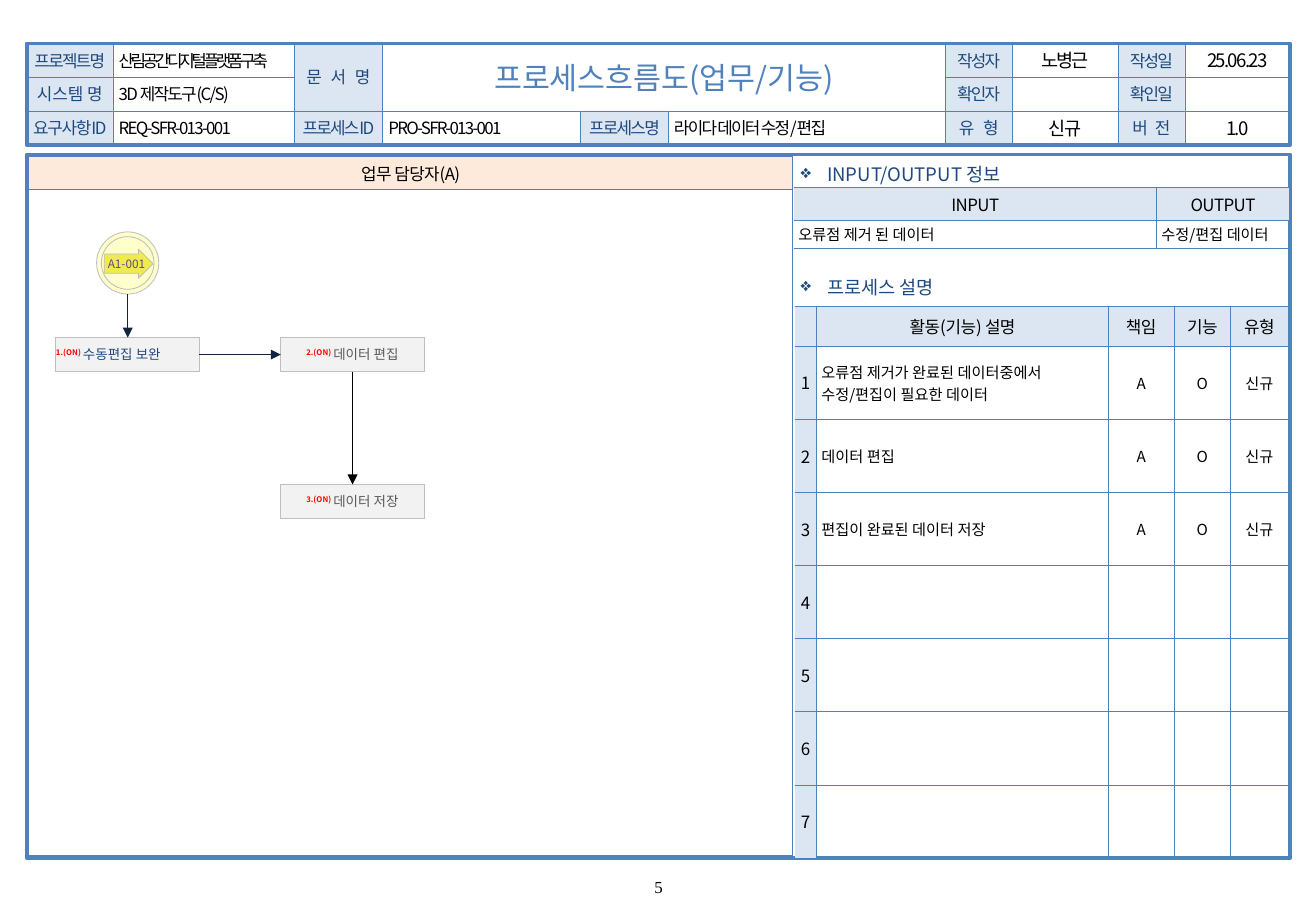
from lxml import etree
from pptx import Presentation
from pptx.dml.color import RGBColor
from pptx.enum.shapes import MSO_CONNECTOR, MSO_SHAPE
from pptx.enum.text import MSO_ANCHOR, MSO_AUTO_SIZE, PP_ALIGN
from pptx.oxml.ns import qn
from pptx.util import Cm, Pt

LEFT, CENTER = PP_ALIGN.LEFT, PP_ALIGN.CENTER
MIDDLE = MSO_ANCHOR.MIDDLE
NO_RESIZE = MSO_AUTO_SIZE.NONE
RECTANGLE, OVAL, ARROW = MSO_SHAPE.RECTANGLE, MSO_SHAPE.OVAL, MSO_SHAPE.RIGHT_ARROW
STRAIGHT = MSO_CONNECTOR.STRAIGHT

SANS, SERIF = "Noto Sans CJK KR", "Times New Roman"
BLUE, NAVY, PALE, PEACH = "4F81BD", "1F497D", "DCE6F2", "FDEADA"
BLACK, WHITE, GRAY, SILVER, DARK = "000000", "FFFFFF", "595959", "BFBFBF", "0F243E"
YELLOW = "FFFFCC"

HEADER_X = [0.56, 2.36, 6.15, 8.0, 12.14, 13.97, 19.76, 21.16, 23.37, 24.77, 26.97]
HEADER_Y = [0.91, 1.62, 2.32, 3.03]
HEADER_LABELS = [
    ("프로젝트명", 0, 0, 1, -1), ("시스템 명", 0, 1, 1, 0), ("요구사항ID", 0, 2, 1, -0.7),
    ("문 서 명", 2, 0, 2, 1.5), ("프로세스ID", 2, 2, 1, -1), ("프로세스명", 4, 2, 1, -1),
    ("작성자", 6, 0, 1, -1), ("확인자", 6, 1, 1, -1), ("유 형", 6, 2, 1, 1.5),
    ("작성일", 8, 0, 1, -1), ("확인일", 8, 1, 1, -1), ("버 전", 8, 2, 1, 1),
]
HEADER_VALUES = [
    ("산림공간 디지털 플랫폼 구축", 1, 0, -2), ("3D 제작도구(C/S)", 1, 1, -1),
    ("REQ-SFR-013-001", 1, 2, -1), ("PRO-SFR-013-001", 3, 2, -1),
    ("라이다 데이터 수정/편집", 5, 2, -1),
]
HEADER_CENTERED = [
    ("노병근", 7, 0), ("", 7, 1), ("신규", 7, 2),
    ("25.06.23", 9, 0), ("", 9, 1), ("1.0", 9, 2),
]
STEPS = ["오류점 제거가 완료된 데이터중에서 수정/편집이 필요한 데이터",
         "데이터 편집", "편집이 완료된 데이터 저장", "", "", "", ""]


def color(value):
    return RGBColor.from_string(value)


def set_margins(item, side=0, vertical=0):
    item.margin_left = item.margin_right = Cm(side)
    item.margin_top = item.margin_bottom = Cm(vertical)


def add_span(para, text, size=10, font=SANS, ink=BLACK, spacing=0, bold=False, raised=0):
    span = para.add_run()
    span.text = text
    span.font.size = Pt(size)
    span.font.bold = bold
    span.font.color.rgb = color(ink)
    span.font.name = font
    properties = span._r.get_or_add_rPr()
    properties.set("spc", str(round(spacing * 100)))
    if raised:
        properties.set("baseline", str(raised * 1000))
    etree.SubElement(properties, qn("a:ea")).set("typeface", font)


def write(frame, text, align=CENTER, wrap=False, side=0, **style):
    frame.auto_size = NO_RESIZE
    frame.word_wrap = wrap
    frame.vertical_anchor = MIDDLE
    set_margins(frame, side)
    para = frame.paragraphs[0]
    para.alignment = align
    if text:
        add_span(para, text, **style)
    return para


def paint(shape, fill=None, line=BLUE, weight=0.25):
    if fill:
        shape.fill.solid()
        shape.fill.fore_color.rgb = color(fill)
    else:
        shape.fill.background()
    shape.line.color.rgb = color(line)
    shape.line.width = Pt(weight)


def add_box(page, place, kind=RECTANGLE, **look):
    box = page.shapes.add_shape(kind, *map(Cm, place))
    box.shadow.inherit = False
    paint(box, **look)
    return box


def add_label(page, place, text, **style):
    box = page.shapes.add_textbox(*map(Cm, place))
    return write(box.text_frame, text, **style)


def add_heading(page, top, text):
    para = add_label(page, (16.74, top, 4.45, 0.48), "", align=LEFT)
    properties = para._p.get_or_add_pPr()
    properties.set("marL", str(Cm(0.55)))
    properties.set("indent", str(-Cm(0.55)))
    etree.SubElement(properties, qn("a:buChar")).set("char", "❖")
    add_span(para, text, size=11, ink=NAVY)


def add_line(page, start, end, ink, weight, arrow=False):
    line = page.shapes.add_connector(STRAIGHT, *map(Cm, start + end))
    line.line.color.rgb = color(ink)
    line.line.width = Pt(weight)
    if arrow:
        etree.SubElement(line.line._get_or_add_ln(), qn("a:tailEnd")).set("type", "triangle")
    etree.SubElement(line._element.spPr, qn("a:effectLst"))
    return line


def link(page, source, source_site, target, target_site, ink=DARK):
    line = add_line(page, (0, 0), (0, 0), ink, 0.75, arrow=True)
    line.begin_connect(source, source_site)
    line.end_connect(target, target_site)


def set_borders(cell, edges):
    properties = cell._tc.get_or_add_tcPr()
    for index, edge in enumerate("LRTB"):
        border = etree.Element(qn(f"a:ln{edge}"), w=str(Pt(0.5)))
        if edge in edges:
            fill = etree.SubElement(border, qn("a:solidFill"))
            etree.SubElement(fill, qn("a:srgbClr")).set("val", BLUE)
        else:
            etree.SubElement(border, qn("a:noFill"))
        properties.insert(index, border)


def fill_cell(cell, text, fill=None, align=CENTER, side=0.1, **style):
    if fill:
        cell.fill.solid()
        cell.fill.fore_color.rgb = color(fill)
    else:
        cell.fill.background()
    cell.vertical_anchor = MIDDLE
    set_margins(cell, side, 0.03)
    para = cell.text_frame.paragraphs[0]
    para.alignment = align
    if text:
        add_span(para, text, **style)


def add_grid(page, left, top, widths, heights, rows, format_of):
    frame = page.shapes.add_table(len(heights), len(widths), Cm(left), Cm(top),
                                  Cm(sum(widths)), Cm(sum(heights)))
    table = frame.table
    table.first_row = table.horz_banding = False
    for column, width in zip(table.columns, widths):
        column.width = Cm(width)
    for r, (row, height) in enumerate(zip(rows, heights)):
        table.rows[r].height = Cm(height)
        for c, text in enumerate(row):
            cell = table.cell(r, c)
            fill_cell(cell, text, **format_of(r, c))
            set_borders(cell, "TB" + "L" * (c > 0) + "R" * (c < len(widths) - 1))


def io_format(row, column):
    return dict(fill=PALE, spacing=-0.3) if row == 0 else dict(align=LEFT, size=9)


def step_format(row, column):
    if row == 0:
        return dict(fill=PALE, spacing=-0.3)
    if column == 0:
        return dict(fill=PALE, side=0)
    return dict(align=LEFT if column == 1 else CENTER, size=9)


def header_place(column, row, columns=1, rows=1):
    left, top = HEADER_X[column], HEADER_Y[row]
    return left, top, HEADER_X[column + columns] - left, HEADER_Y[row + rows] - top


def add_header(page):
    title = page.shapes.title
    title.left, title.top, title.width, title.height = map(Cm, header_place(3, 0, 3, 2))
    paint(title, WHITE)
    write(title.text_frame, "프로세스흐름도(업무/기능)", wrap=True, size=18, ink=BLUE)
    for text, column, row, rows, spacing in HEADER_LABELS:
        box = add_box(page, header_place(column, row, 1, rows), fill=PALE)
        write(box.text_frame, text, ink=NAVY, spacing=spacing)
    for text, column, row, spacing in HEADER_VALUES:
        box = add_box(page, header_place(column, row), fill=WHITE)
        write(box.text_frame, text, align=LEFT, side=0.12, spacing=spacing)
    for text, column, row in HEADER_CENTERED:
        box = add_box(page, header_place(column, row), fill=WHITE)
        write(box.text_frame, text, size=11, spacing=-1)
    add_box(page, header_place(0, 0, 10, 3), weight=2.25)


def add_step(page, left, top, number, text, align=CENTER, ink=GRAY):
    box = add_box(page, (left, top, 3, 0.71), fill="F2F2F2", line=SILVER, weight=0.5)
    para = write(box.text_frame, f"{number}.(ON) ", align=align, wrap=True,
                 size=8, ink="FF0000", bold=True, raised=30)
    add_span(para, text, size=8, ink=ink)
    return box


def add_flow(page):
    yellow = dict(fill=YELLOW, line=SILVER, weight=0.5)
    add_box(page, (2.02, 4.85, 1.3, 1.3), OVAL, **yellow)
    add_box(page, (2.12, 4.95, 1.1, 1.1), OVAL, **yellow)
    arrow = add_box(page, (2.18, 5.21, 1.02, 0.61), ARROW, fill="EFEB4F", line=SILVER, weight=0.5)
    arrow.adjustments[0] = 0.66
    add_label(page, (2.24, 5.36, 0.81, 0.3), "A1-001", size=7, ink="604A7B")
    fix = add_step(page, 1.17, 7.06, 1, "수동편집 보완", align=LEFT, ink=NAVY)
    edit = add_step(page, 5.87, 7.06, 2, "데이터 편집")
    save = add_step(page, 5.87, 10.13, 3, "데이터 저장")
    entry = add_line(page, (2.67, 6.15), (2.67, 7.06), DARK, 0.75, arrow=True)
    entry.end_connect(fix, 0)
    link(page, fix, 3, edit, 1)
    link(page, edit, 2, save, 0, BLACK)


def main():
    deck = Presentation()
    deck.slide_width, deck.slide_height = Cm(27.51), Cm(19.05)
    page = deck.slides.add_slide(deck.slide_layouts[5])
    add_header(page)
    add_box(page, (0.56, 3.23, 26.41, 14.71), weight=2.25)
    add_line(page, (16.56, 3.23), (16.56, 17.94), BLUE, 0.5)
    add_grid(page, 0.61, 3.28, [15.95], [0.69, 13.92], [["업무 담당자(A)"], [""]],
             lambda row, column: dict(fill=None if row else PEACH, spacing=-0.3))
    add_flow(page)
    add_heading(page, 3.4, "INPUT/OUTPUT 정보")
    add_grid(page, 16.59, 3.92, [7.59, 2.77], [0.69, 0.58],
             [["INPUT", "OUTPUT"], ["오류점 제거 된 데이터", "수정/편집 데이터"]], io_format)
    add_heading(page, 5.77, "프로세스 설명")
    rows = [["", "활동(기능) 설명", "책임", "기능", "유형"]]
    for number, text in enumerate(STEPS, 1):
        rows.append([str(number), text] + (["A", "O", "신규"] if text else [""] * 3))
    add_grid(page, 16.61, 6.4, [0.46, 6.1, 1.37, 1.19, 1.19], [0.74] + [1.53] * 7,
             rows, step_format)
    add_label(page, (13.3, 18.19, 0.94, 0.69), "5", font=SERIF)
    deck.save("out.pptx")


if __name__ == "__main__":
    main()
